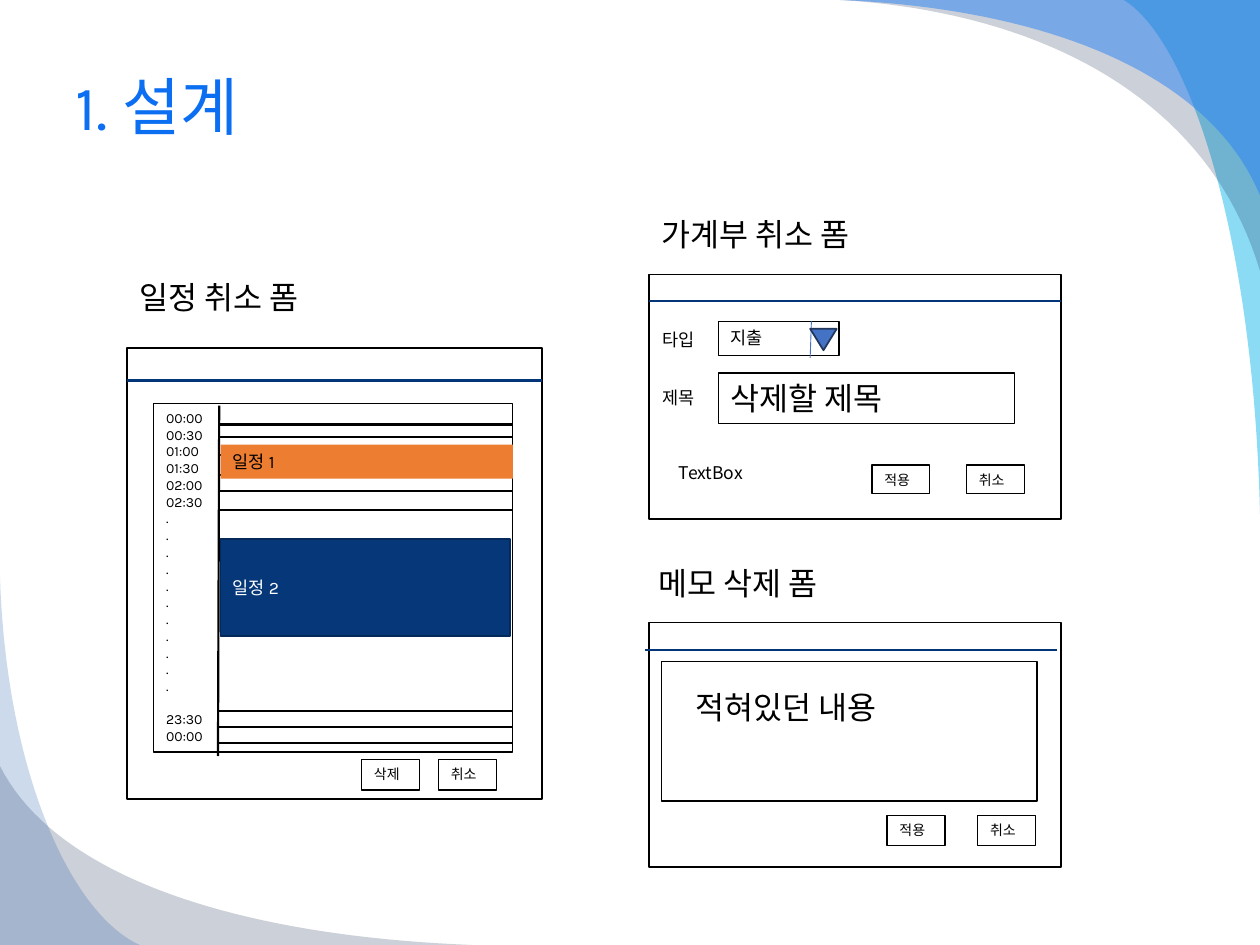
from lxml.etree import SubElement
from pptx import Presentation
from pptx.dml.color import RGBColor
from pptx.enum.shapes import MSO_CONNECTOR, MSO_SHAPE
from pptx.enum.text import MSO_ANCHOR, PP_ALIGN
from pptx.oxml.ns import qn
from pptx.util import Inches, Pt

COLORS = {
    "black": "000000", "white": "FFFFFF", "title": "0C6FF2",
    "navy": "033679", "bar": "063879", "bar_edge": "04295A",
    "orange": "ED7D31", "blue": "4472C4", "blue_edge": "21375E",
    "cyan": "00B1E9", "sky": "247FF4", "ink": "021741", "royal": "084AA1",
}
FONT = "Karla"
KOREAN = "Noto Sans CJK KR"


def rgb(name):
    return RGBColor.from_string(COLORS[name])


def bezier(p0, p1, p2, p3, steps=40):
    """Points along a cubic curve."""
    points = []
    for i in range(steps + 1):
        t = i / steps
        weights = ((1 - t) ** 3, 3 * t * (1 - t) ** 2, 3 * t * t * (1 - t), t ** 3)
        points.append(tuple(sum(w * p[axis] for w, p in zip(weights, (p0, p1, p2, p3)))
                            for axis in (0, 1)))
    return points


class Wireframe:
    def __init__(self, slide):
        self.s = slide

    def set_text(self, shape, text, size, color="black", font=FONT, anchor=MSO_ANCHOR.TOP):
        tf = shape.text_frame
        tf.text = text
        tf.word_wrap = True
        tf.vertical_anchor = anchor
        for p in tf.paragraphs:
            p.alignment = PP_ALIGN.LEFT
            for r in p.runs:
                r.font.size = Pt(size)
                r.font.name = font
                r.font.color.rgb = rgb(color)
                SubElement(r.font._element, qn("a:ea"), typeface=KOREAN)
        return tf

    def title(self, text, x, y, w, h):
        sp = self.s.shapes.title
        sp.left, sp.top, sp.width, sp.height = map(Inches, (x, y, w, h))
        self.set_text(sp, text, 36, "title", anchor=MSO_ANCHOR.MIDDLE)

    def label(self, text, x, y, w, h, size=18, font=FONT):
        sp = self.s.shapes.add_textbox(*map(Inches, (x, y, w, h)))
        self.set_text(sp, text, size, font=font)

    def style(self, sp, fill, line, width):
        sp.shadow.inherit = False
        if fill:
            sp.fill.solid()
            sp.fill.fore_color.rgb = rgb(fill)
        else:
            sp.fill.background()
        if line:
            sp.line.color.rgb = rgb(line)
            sp.line.width = Pt(width)
        else:
            sp.line.fill.background()

    def box(self, x, y, w, h, fill=None, line="black", width=0.75, kind=MSO_SHAPE.RECTANGLE):
        sp = self.s.shapes.add_shape(kind, *map(Inches, (x, y, w, h)))
        self.style(sp, fill, line, width)
        return sp

    def field(self, text, x, y, w, h, size):
        return self.set_text(self.box(x, y, w, h), text, size)

    def buttons(self, y, h, *items):
        for text, x in items:
            self.field(text, x, y, 0.46, h, 8)

    def line(self, x1, y1, x2, y2, color="black", width=1.25):
        c = self.s.shapes.add_connector(MSO_CONNECTOR.STRAIGHT, *map(Inches, (x1, y1, x2, y2)))
        c.line.color.rgb = rgb(color)
        c.line.width = Pt(width)
        SubElement(c._element.spPr, qn("a:effectLst"))

    def window(self, x, y, w, h, bar_y, bar_x=None):
        """A form window with its title bar rule."""
        self.box(x, y, w, h, "white", width=1)
        start = x if bar_x is None else bar_x
        self.line(start, bar_y, start + w, bar_y, "navy")

    def swoosh(self, corner, curve, color, opacity):
        """A curved corner, closed through the slide corner."""
        points = [(Inches(px), Inches(py)) for px, py in bezier(*curve) + [corner]]
        builder = self.s.shapes.build_freeform(*points[0])
        builder.add_line_segments(points[1:], close=True)
        sp = builder.convert_to_shape()
        self.style(sp, color, None, 0)
        clr = sp._element.spPr.find(qn("a:solidFill")).find(qn("a:srgbClr"))
        SubElement(clr, qn("a:alpha"), val=str(opacity * 1000))


def main():
    prs = Presentation()
    prs.slide_width, prs.slide_height = Inches(10), Inches(7.5)
    s = prs.slides.add_slide(prs.slide_layouts[5])
    w = Wireframe(s)

    # Corner decoration
    top, bottom = (10, 0), (0, 7.5)
    w.swoosh(top, [(8.92, 0), (9.45, 0.33), (9.95, 1.9), (10, 4.08)], "cyan", 45)
    w.swoosh(top, [(6.67, 0), (8.3, 0.1), (9.6, 0.8), (10, 2.15)], "ink", 20)
    w.swoosh(top, [(6.67, 0), (8.3, 0.07), (9.6, 0.58), (10, 1.55)], "sky", 49)
    w.swoosh(bottom, [(0, 6.08), (0.45, 6.97), (1.91, 7.43), (3.75, 7.5)], "ink", 20)
    w.swoosh(bottom, [(0, 4.58), (0.05, 6.14), (0.57, 7.26), (1.11, 7.5)], "royal", 20)

    # Headings
    w.title("1. 설계", 0.5, 0.33, 9, 1.01)
    w.label("일정 취소 폼", 1.01, 2.16, 2.86, 0.39)
    w.label("가계부 취소 폼", 5.15, 1.66, 2.86, 0.39)
    w.label("메모 삭제 폼", 5.13, 4.43, 2.54, 0.39)

    # Memo form
    w.window(5.15, 4.94, 3.27, 1.94, 5.16, bar_x=5.12)
    w.buttons(6.47, 0.24, ("적용", 7.04), ("취소", 7.76))
    w.box(5.25, 5.25, 2.98, 1.11, "white", width=1)
    w.label("적혀있던 내용", 5.42, 5.41, 2.03, 0.4)

    # Schedule form
    w.window(1.01, 2.76, 3.29, 3.58, 3.02)
    times = ["00:00", "00:30", "01:00", "01:30", "02:00", "02:30"]
    times += ["."] * 11 + ["23:30", "00:00"]
    tf = w.field("\n".join(times), 1.22, 3.2, 2.85, 2.77, 8)
    tf.paragraphs[-2].space_before = Pt(9.5)
    w.buttons(6.03, 0.24, ("삭제", 2.87), ("취소", 3.48))
    w.line(1.74, 3.22, 1.73, 6)
    for y in (3.37, 3.47, 3.61, 3.77, 3.9, 4.05, 5.64, 5.77, 5.9):
        w.line(1.74, y, 4.07, y)
    w.set_text(w.box(1.75, 3.53, 2.32, 0.27, "orange", None), "일정 1", 10)
    w.set_text(w.box(1.75, 4.28, 2.3, 0.77, "bar", "bar_edge", 1), "일정 2", 10, "white",
               anchor=MSO_ANCHOR.MIDDLE)

    # Account book form
    w.window(5.15, 2.18, 3.27, 1.94, 2.39)
    w.field("삭제할 제목", 5.7, 2.96, 2.35, 0.4, 18)
    w.buttons(3.69, 0.23, ("적용", 6.92), ("취소", 7.67))
    w.label("TextBox", 5.29, 3.62, 1.42, 0.27, 10, KOREAN)
    w.label("제목", 5.16, 3.02, 0.54, 0.26, 10, KOREAN)
    w.label("타입", 5.16, 2.56, 0.54, 0.26, 10, KOREAN)

    # Type drop-down
    w.field("지출", 5.7, 2.55, 0.96, 0.27, 10)
    w.line(6.44, 2.55, 6.43, 2.84, "blue", 0.5)
    arrow = w.box(6.43, 2.61, 0.21, 0.17, "blue", "blue_edge", 1, MSO_SHAPE.ISOSCELES_TRIANGLE)
    arrow.rotation = 180

    prs.save("out.pptx")


if __name__ == "__main__":
    main()
